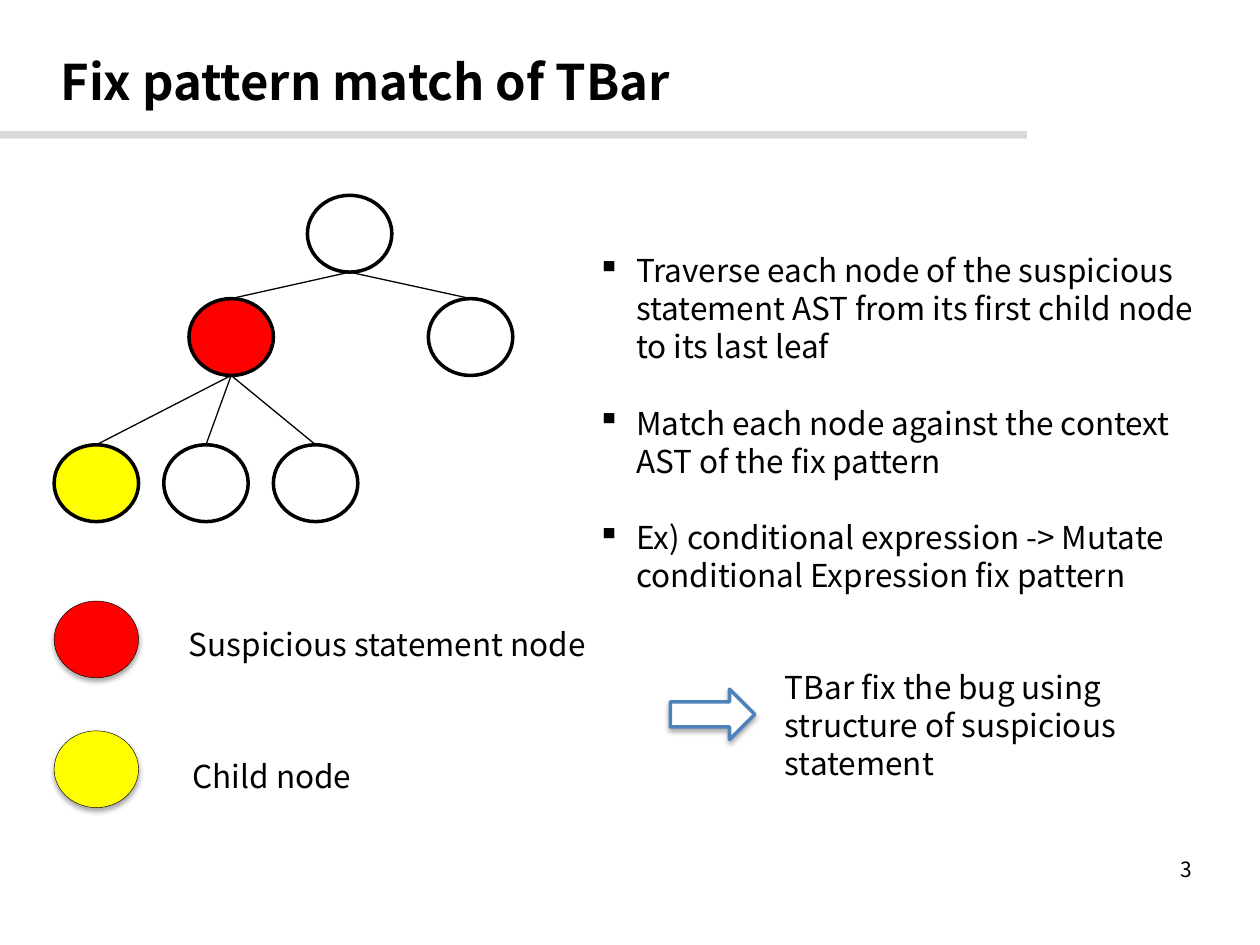
from dataclasses import dataclass
from typing import Optional

from lxml import etree
from pptx import Presentation
from pptx import util as u
from pptx.dml.color import RGBColor
from pptx.enum import shapes, text
from pptx.oxml import ns

BLACK = RGBColor(0, 0, 0)
WHITE = RGBColor(255, 255, 255)
RED = RGBColor(255, 0, 0)
YELLOW = RGBColor(255, 255, 0)
GRAY = RGBColor(0xD9, 0xD9, 0xD9)
BLUE = RGBColor(0x4F, 0x81, 0xBD)
FONT = "Noto Sans CJK KR"
COLUMNS, ROWS = 100, 75
CELL = u.Inches(0.1)
NODE_WIDTH, NODE_HEIGHT = 6.7, 6.1
LINE_PITCH = u.Pt(21.8)


@dataclass(frozen=True)
class Area:
    column: float
    row: float
    columns: float
    rows: float

    def lengths(self) -> list[int]:
        return [cells(n) for n in (self.column, self.row, self.columns, self.rows)]


@dataclass(frozen=True)
class Node:
    column: float
    row: float
    color: RGBColor = WHITE
    parent: Optional["Node"] = None

    @property
    def area(self) -> Area:
        return Area(self.column, self.row, NODE_WIDTH, NODE_HEIGHT)

    @property
    def middle(self) -> float:
        return self.column + NODE_WIDTH / 2


@dataclass(frozen=True)
class Label:
    area: Area
    lines: tuple[str, ...]
    size: float = 18
    bold: bool = False
    bullet: bool = False
    align: text.PP_ALIGN = text.PP_ALIGN.LEFT
    anchor: text.MSO_ANCHOR = text.MSO_ANCHOR.TOP
    pitch: Optional[int] = LINE_PITCH


def cells(count: float) -> int:
    return round(count * CELL)


def add_effects(properties, shadow: bool) -> None:
    effects = properties.find(ns.qn("a:effectLst"))
    if effects is None:
        effects = etree.SubElement(properties, ns.qn("a:effectLst"))
    if shadow:
        outer = etree.SubElement(effects, ns.qn("a:outerShdw"), blurRad=str(u.Pt(3)),
                                 dist=str(u.Pt(1.8)), dir="5400000", rotWithShape="0")
        color = etree.SubElement(outer, ns.qn("a:srgbClr"), val=str(BLACK))
        etree.SubElement(color, ns.qn("a:alpha"), val="35000")


def add_figure(page, kind: shapes.MSO_SHAPE, area: Area, fill: RGBColor,
               line: Optional[RGBColor] = None, width: float = 2,
               shadow: bool = False) -> None:
    figure = page.shapes.add_shape(kind, *area.lengths())
    figure.shadow.inherit = False
    figure.fill.solid()
    figure.fill.fore_color.rgb = fill
    if line is None:
        figure.line.fill.background()
    else:
        figure.line.color.rgb = line
        figure.line.width = u.Pt(width)
    add_effects(figure.element.spPr, shadow)


def add_branch(page, child: Node) -> None:
    parent = child.parent
    branch = page.shapes.add_connector(
        shapes.MSO_CONNECTOR.STRAIGHT,
        cells(parent.middle), cells(parent.row + NODE_HEIGHT),
        cells(child.middle), cells(child.row))
    branch.line.color.rgb = BLACK
    branch.line.width = u.Pt(0.75)
    add_effects(branch.element.spPr, False)


def add_bullet(para) -> None:
    properties = para._p.get_or_add_pPr()
    indent = u.Inches(0.31)
    properties.set("marL", str(indent))
    properties.set("indent", str(-indent))
    etree.SubElement(properties, ns.qn("a:buChar"), char="▪")


def add_label(page, label: Label) -> None:
    box = page.shapes.add_textbox(*label.area.lengths())
    frame = box.text_frame
    frame.word_wrap = True
    frame.vertical_anchor = label.anchor
    frame.margin_left = frame.margin_right = u.Inches(0.05)
    frame.margin_top = frame.margin_bottom = u.Inches(0.05)
    for index, line in enumerate(label.lines):
        para = frame.add_paragraph() if index else frame.paragraphs[0]
        para.alignment = label.align
        if label.pitch:
            para.line_spacing = label.pitch
        if index:
            para.space_before = LINE_PITCH
        if label.bullet:
            add_bullet(para)
        span = para.add_run()
        span.text = line
        span.font.name = FONT
        span.font.size = u.Pt(label.size)
        span.font.bold = label.bold
        span.font.color.rgb = BLACK


ROOT = Node(24.4, 15.5)
SUSPICIOUS = Node(15, 23.7, RED, ROOT)
LEAVES = [Node(4.3 + 8.7 * index, 35.3, color, SUSPICIOUS)
          for index, color in enumerate((YELLOW, WHITE, WHITE))]
TREE = [ROOT, SUSPICIOUS, Node(34, 23.7, WHITE, ROOT), *LEAVES]
LEGEND = [Node(4.3, 47.7, RED), Node(4.3, 58, YELLOW)]

LABELS = [
    Label(Area(4.3, 0, 88.3, 12.8), ("Fix pattern match of TBar",), 28, True,
          anchor=text.MSO_ANCHOR.MIDDLE, pitch=None),
    Label(Area(71.8, 67.5, 23.3, 3), ("3",), 12, align=text.PP_ALIGN.RIGHT,
          anchor=text.MSO_ANCHOR.MIDDLE, pitch=None),
    Label(Area(46.9, 19.4, 48.8, 28.3), (
        "Traverse each node of the suspicious statement AST "
        "from its first child node to its last leaf",
        "Match each node against the context AST of the fix pattern",
        "Ex) conditional expression -> Mutate conditional Expression fix pattern",
    ), bullet=True),
    Label(Area(14.5, 49.1, 34.6, 4), ("Suspicious statement node",)),
    Label(Area(14.8, 59.6, 34.6, 4), ("Child node",)),
    Label(Area(61.8, 52.5, 37, 10.1),
          ("TBar fix the bug using structure of suspicious statement",)),
]

deck = Presentation()
deck.slide_width = cells(COLUMNS)
deck.slide_height = cells(ROWS)
page = deck.slides.add_slide(deck.slide_layouts[6])

add_figure(page, shapes.MSO_SHAPE.RECTANGLE, Area(0, 10.4, 81.5, 0.6), GRAY)
for node in TREE:
    if node.parent:
        add_branch(page, node)
for node in TREE:
    add_figure(page, shapes.MSO_SHAPE.OVAL, node.area, node.color, BLACK)
for node in LEGEND:
    add_figure(page, shapes.MSO_SHAPE.OVAL, node.area, node.color, BLACK, 0.25, True)
add_figure(page, shapes.MSO_SHAPE.RIGHT_ARROW, Area(53.2, 54.7, 6.7, 4),
           WHITE, BLUE, shadow=True)
for label in LABELS:
    add_label(page, label)

deck.save("out.pptx")
